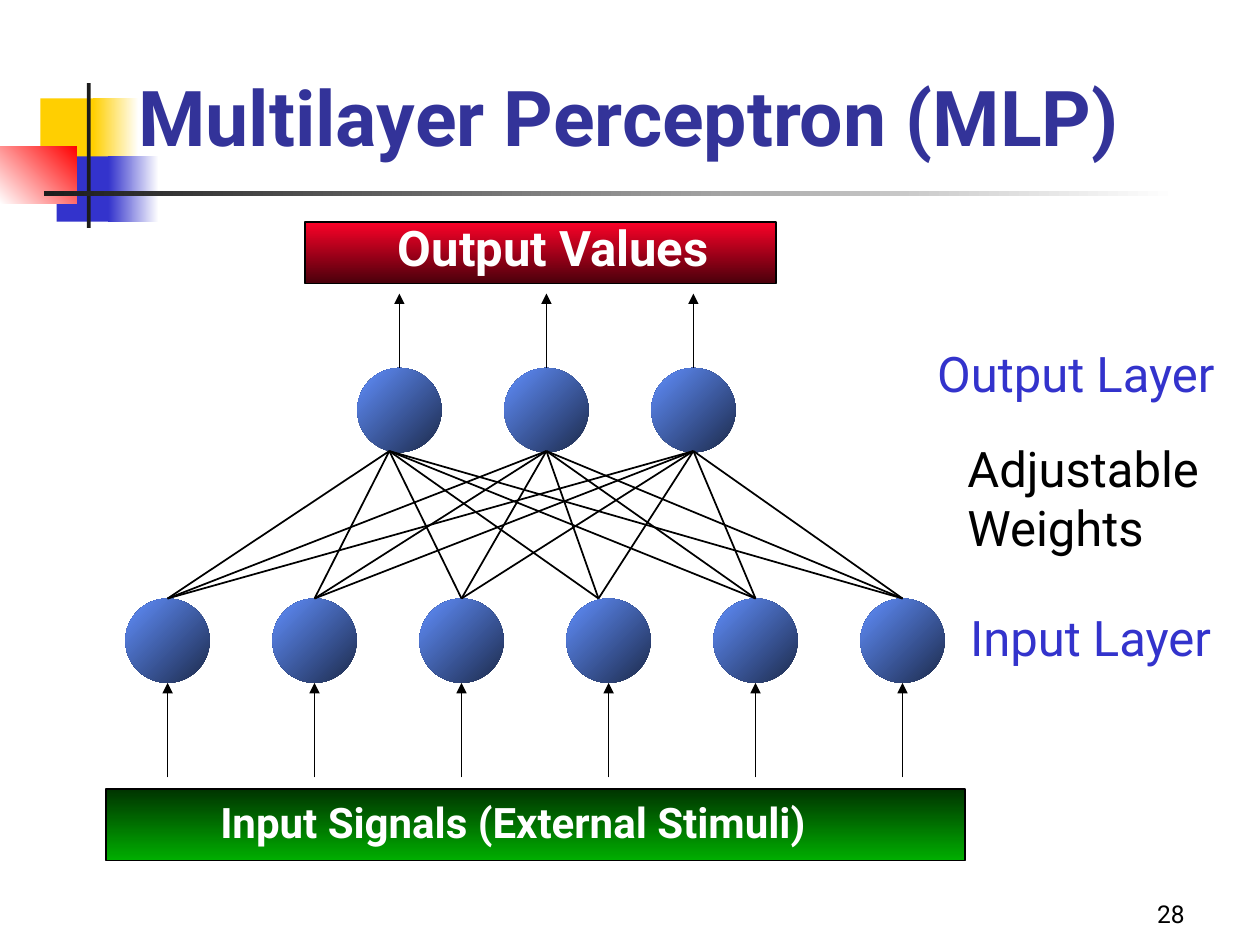
from dataclasses import dataclass
from itertools import product
from typing import Optional

from lxml.etree import SubElement
from pptx import Presentation
from pptx.dml.color import RGBColor
from pptx.enum.shapes import MSO_CONNECTOR, MSO_SHAPE
from pptx.enum.text import MSO_ANCHOR as Anchor, PP_ALIGN as Align
from pptx.oxml.ns import qn
from pptx.util import Inches, Pt

WHITE = RGBColor(0xFF, 0xFF, 0xFF)
BLACK = RGBColor(0x00, 0x00, 0x00)
CHARCOAL = RGBColor(0x1C, 0x1C, 0x1C)
YELLOW = RGBColor(0xFF, 0xCF, 0x01)
BLUE = RGBColor(0x33, 0x33, 0xCC)
RED = RGBColor(0xFF, 0x00, 0x00)
INDIGO = RGBColor(0x33, 0x33, 0x99)
DARK_GREEN = RGBColor(0x00, 0x33, 0x00)
GREEN = RGBColor(0x00, 0xAE, 0x00)
CRIMSON = RGBColor(0xFC, 0x01, 0x28)
MAROON = RGBColor(0x4A, 0x00, 0x0B)
NAVY = RGBColor(0x1C, 0x2A, 0x4B)
SKY = RGBColor(0x61, 0x8F, 0xFD)

FONT = "Roboto"
NEURON_SIZE = 0.67
NEURON_PITCH = 3.5 / 3
OUTPUT_TOP = 2.92
INPUT_TOP = 4.75


@dataclass(frozen=True)
class Block:
    left: float
    top: float
    width: float
    height: float
    start: RGBColor
    end: Optional[RGBColor] = None
    clockwise: int = 0
    outlined: bool = False
    kind: MSO_SHAPE = MSO_SHAPE.RECTANGLE


@dataclass(frozen=True)
class Label:
    left: float
    top: float
    width: float
    height: float
    lines: tuple[str, ...]
    size: int
    color: RGBColor
    bold: bool = False
    anchor: Anchor = Anchor.TOP
    align: Align = Align.LEFT


@dataclass(frozen=True)
class Neuron:
    center: float
    top: float
    weight_x: float


DECORATION = (
    Block(0.32, 0.78, 0.48, 0.52, YELLOW),
    Block(0.74, 0.78, 0.36, 0.52, WHITE, YELLOW, 180),
    Block(0.45, 1.24, 0.46, 0.52, BLUE),
    Block(0.86, 1.24, 0.4, 0.52, WHITE, BLUE, 180),
    Block(0, 1.16, 0.61, 0.46, RED, WHITE, 135),
    Block(0.69, 0.66, 0.03, 1.15, CHARCOAL),
    Block(0.35, 1.52, 9, 0.04, WHITE, CHARCOAL, 180),
)
SIGNAL_BARS = (
    Block(0.84, 6.26, 6.82, 0.57, DARK_GREEN, GREEN, 90, True),
    Block(2.42, 1.76, 3.74, 0.49, CRIMSON, MAROON, 90, True),
)
TITLE = Label(1, 0.42, 9, 1, ("Multilayer Perceptron (MLP)",), 44, INDIGO, True,
              Anchor.MIDDLE)
LABELS = (
    Label(3.06, 1.68, 2.98, 0.56, ("Output Values",), 28, WHITE, True),
    Label(1.65, 6.27, 5.37, 0.5, ("Input Signals (External Stimuli)",), 24, WHITE, True),
    Label(7.34, 2.68, 2.6, 0.56, ("Output Layer",), 28, BLUE),
    Label(7.58, 3.43, 2.13, 1.03, ("Adjustable", "Weights"), 28, BLACK),
    Label(7.6, 4.77, 2.29, 0.56, ("Input Layer",), 28, BLUE),
    Label(7.42, 6.92, 2.08, 0.5, ("28",), 14, BLACK, False, Anchor.BOTTOM, Align.RIGHT),
)


def draw_block(shapes, block: Block) -> None:
    shape = shapes.add_shape(block.kind, Inches(block.left), Inches(block.top),
                             Inches(block.width), Inches(block.height))
    shape.shadow.inherit = False
    if block.end is None:
        shape.fill.solid()
        shape.fill.fore_color.rgb = block.start
    else:
        shape.fill.gradient()
        shape.fill.gradient_angle = 360 - block.clockwise
        for stop, color in zip(shape.fill.gradient_stops, (block.start, block.end)):
            stop.color.rgb = color
    if block.outlined:
        shape.line.color.rgb = BLACK
        shape.line.width = Pt(1)
    else:
        shape.line.fill.background()


def draw_label(shapes, label: Label) -> None:
    box = shapes.add_textbox(Inches(label.left), Inches(label.top),
                             Inches(label.width), Inches(label.height))
    frame = box.text_frame
    frame.word_wrap = True
    frame.vertical_anchor = label.anchor
    for index, line in enumerate(label.lines):
        paragraph = frame.add_paragraph() if index else frame.paragraphs[0]
        paragraph.alignment = label.align
        run = paragraph.add_run()
        run.text = line
        run.font.name = FONT
        run.font.size = Pt(label.size)
        run.font.bold = label.bold
        run.font.color.rgb = label.color


def draw_line(shapes, x1: float, y1: float, x2: float, y2: float,
              arrow: bool = False) -> None:
    line = shapes.add_connector(MSO_CONNECTOR.STRAIGHT, Inches(x1), Inches(y1),
                                Inches(x2), Inches(y2))
    line.line.color.rgb = BLACK
    line.line.width = Pt(1)
    if arrow:
        SubElement(line.line._get_or_add_ln(), qn("a:tailEnd"), type="triangle")
    SubElement(line._element.spPr, qn("a:effectLst"))


def make_layer(first_center: float, top: float, count: int, shifted: int) -> list[Neuron]:
    centers = [first_center + i * NEURON_PITCH for i in range(count)]
    return [Neuron(x, top, x - 0.08 if i == shifted else x)
            for i, x in enumerate(centers)]


def draw_neuron(shapes, neuron: Neuron) -> None:
    draw_block(shapes, Block(neuron.center - NEURON_SIZE / 2, neuron.top, NEURON_SIZE,
                             NEURON_SIZE, NAVY, SKY, 225, kind=MSO_SHAPE.OVAL))


def main() -> None:
    deck = Presentation()
    deck.slide_width, deck.slide_height = Inches(10), Inches(7.5)
    shapes = deck.slides.add_slide(deck.slide_layouts[6]).shapes

    outputs = make_layer(3.17, OUTPUT_TOP, 3, shifted=0)
    inputs = make_layer(1.33, INPUT_TOP, 6, shifted=3)

    for block in DECORATION:
        draw_block(shapes, block)
    draw_label(shapes, TITLE)
    for bar in SIGNAL_BARS:
        draw_block(shapes, bar)
    for neuron in outputs + inputs:
        draw_neuron(shapes, neuron)
    for output, source in product(outputs, inputs):
        draw_line(shapes, output.weight_x, 3.58, source.weight_x, INPUT_TOP)
    for output in outputs:
        draw_line(shapes, output.center, OUTPUT_TOP, output.center, 2.33, arrow=True)
    for source in inputs:
        draw_line(shapes, source.center, 6.17, source.center, 5.42, arrow=True)
    for label in LABELS:
        draw_label(shapes, label)

    deck.save("out.pptx")


if __name__ == "__main__":
    main()
